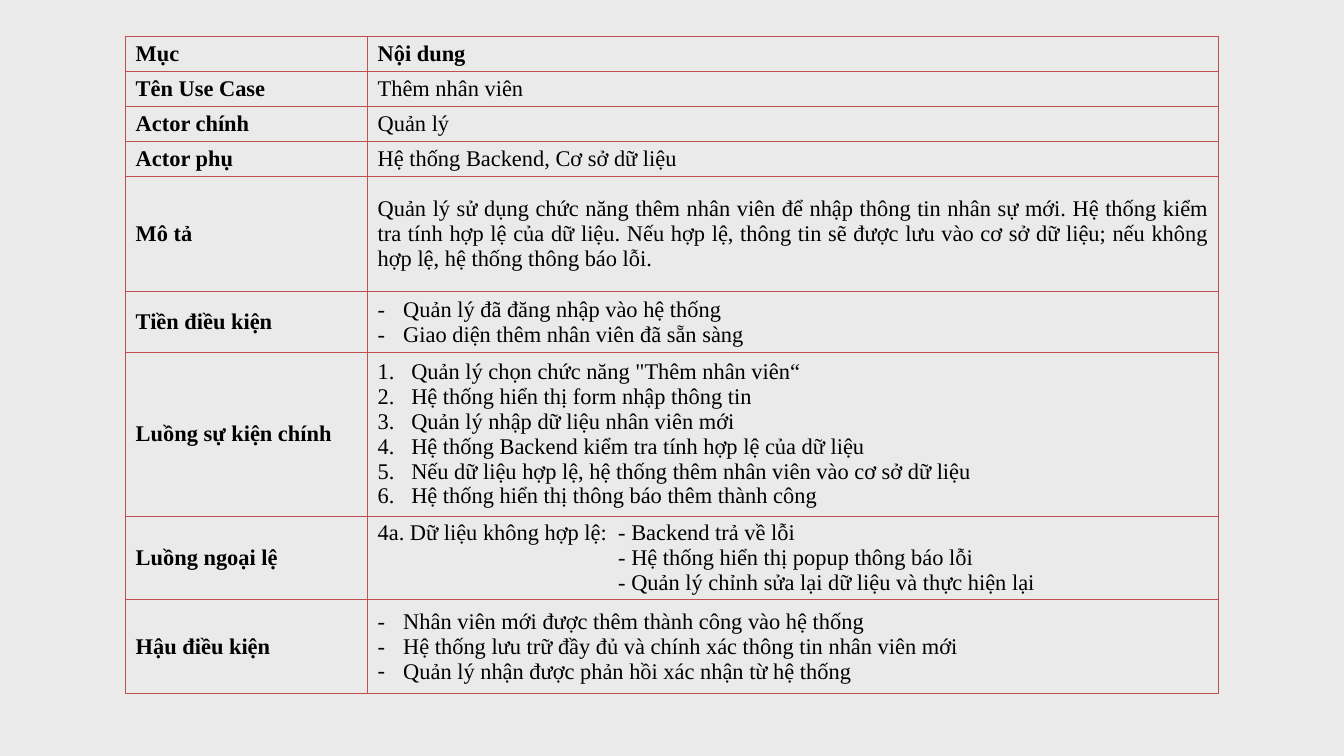
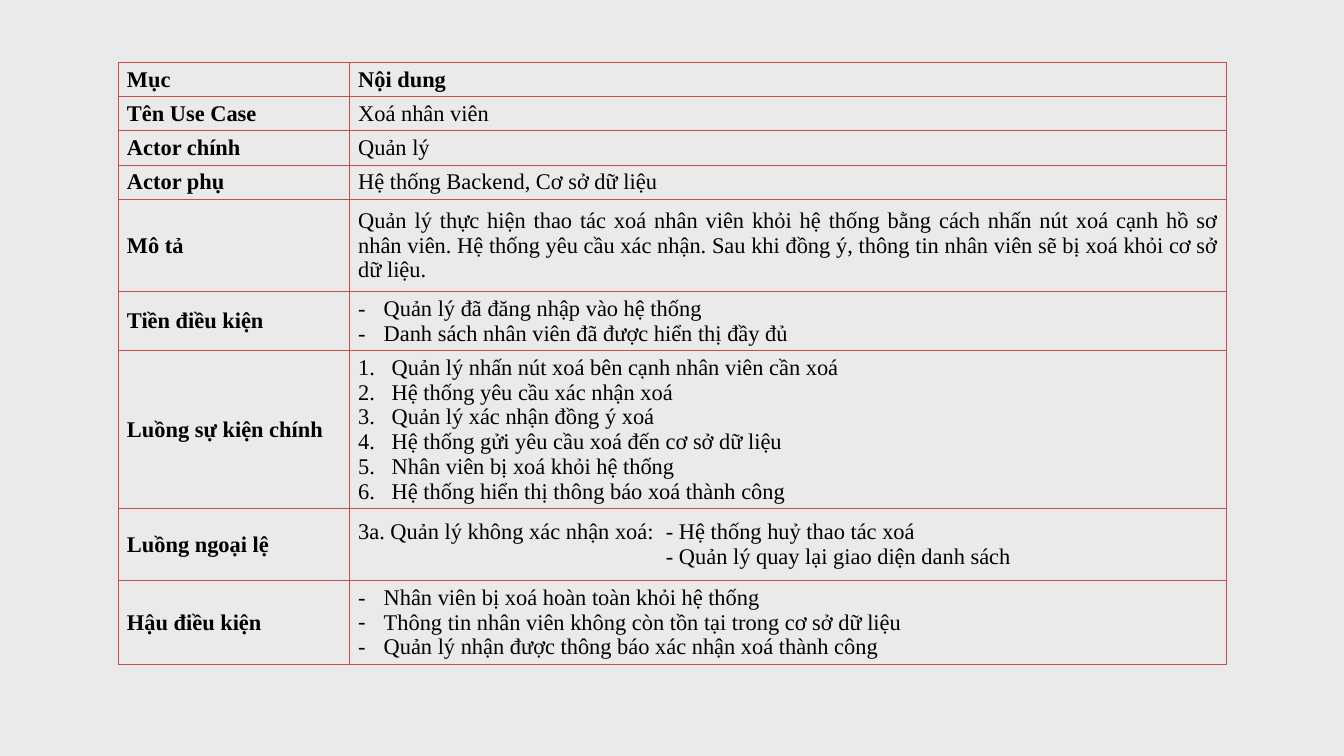
from dataclasses import dataclass
from lxml import etree
from pptx import Presentation
from pptx.dml.color import RGBColor
from pptx.enum import text as t
from pptx.oxml import ns
from pptx.util import Inches, Pt


@dataclass(frozen=True)
class Theme:
    back: str = "EBEAEA"
    ink: str = "000000"
    rule: str = "C0504D"
    font: str = "Times New Roman"
    size: int = 24
    line: int = 1


@dataclass(frozen=True)
class Style:
    """A list style: hanging indent in inches, with a bullet, a number or a tab."""
    hang: float = 0
    mark: str = ""


@dataclass(frozen=True)
class Case:
    left: float
    top: float
    cols: list[float]
    rows: list[float]
    pad: float
    hang: float  # start of the steps in the exception row
    cells: list[list[str]]


THEME = Theme()
PLAIN = Style()
DASH = Style(0.38, "dash")
STEP = Style(0.5, "step")
SIDE = 0.07
LABELS = ["Mục", "Tên Use Case", "Actor chính", "Actor phụ", "Mô tả",
          "Tiền điều kiện", "Luồng sự kiện chính", "Luồng ngoại lệ",
          "Hậu điều kiện"]
STYLES = {"Tiền điều kiện": DASH, "Luồng sự kiện chính": STEP,
          "Hậu điều kiện": DASH}

ADD = Case(
    left=1.87, top=0.54, cols=[3.6, 12.66], pad=0.15, hang=3.58,
    rows=[0.52] * 4 + [1.72, 0.91, 2.43, 1.09, 1.4],
    cells=[
        ["Nội dung"],
        ["Thêm nhân viên"],
        ["Quản lý"],
        ["Hệ thống Backend, Cơ sở dữ liệu"],
        ["Quản lý sử dụng chức năng thêm nhân viên để nhập thông tin nhân sự "
         "mới. Hệ thống kiểm tra tính hợp lệ của dữ liệu. Nếu hợp lệ, thông "
         "tin sẽ được lưu vào cơ sở dữ liệu; nếu không hợp lệ, hệ thống thông "
         "báo lỗi."],
        ["Quản lý đã đăng nhập vào hệ thống",
         "Giao diện thêm nhân viên đã sẵn sàng"],
        ['Quản lý chọn chức năng "Thêm nhân viên“',
         "Hệ thống hiển thị form nhập thông tin",
         "Quản lý nhập dữ liệu nhân viên mới",
         "Hệ thống Backend kiểm tra tính hợp lệ của dữ liệu",
         "Nếu dữ liệu hợp lệ, hệ thống thêm nhân viên vào cơ sở dữ liệu",
         "Hệ thống hiển thị thông báo thêm thành công"],
        ["4a. Dữ liệu không hợp lệ:\t- Backend trả về lỗi",
         "- Hệ thống hiển thị popup thông báo lỗi",
         "- Quản lý chỉnh sửa lại dữ liệu và thực hiện lại"],
        ["Nhân viên mới được thêm thành công vào hệ thống",
         "Hệ thống lưu trữ đầy đủ và chính xác thông tin nhân viên mới",
         "Quản lý nhận được phản hồi xác nhận từ hệ thống"],
    ])

DROP = Case(
    left=1.76, top=0.93, cols=[3.44, 13.05], pad=0.13, hang=4.58,
    rows=[0.45] * 4 + [1.38, 0.76, 2.01, 1.07, 1.09],
    cells=[
        ["Nội dung"],
        ["Xoá nhân viên"],
        ["Quản lý"],
        ["Hệ thống Backend, Cơ sở dữ liệu"],
        ["Quản lý thực hiện thao tác xoá nhân viên khỏi hệ thống bằng cách "
         "nhấn nút xoá cạnh hồ sơ nhân viên. Hệ thống yêu cầu xác nhận. Sau "
         "khi đồng ý, thông tin nhân viên sẽ bị xoá khỏi cơ sở dữ liệu."],
        ["Quản lý đã đăng nhập vào hệ thống",
         "Danh sách nhân viên đã được hiển thị đầy đủ"],
        ["Quản lý nhấn nút xoá bên cạnh nhân viên cần xoá",
         "Hệ thống yêu cầu xác nhận xoá",
         "Quản lý xác nhận đồng ý xoá",
         "Hệ thống gửi yêu cầu xoá đến cơ sở dữ liệu",
         "Nhân viên bị xoá khỏi hệ thống",
         "Hệ thống hiển thị thông báo xoá thành công"],
        ["3a. Quản lý không xác nhận xoá:\t- Hệ thống huỷ thao tác xoá",
         "- Quản lý quay lại giao diện danh sách"],
        ["Nhân viên bị xoá hoàn toàn khỏi hệ thống",
         "Thông tin nhân viên không còn tồn tại trong cơ sở dữ liệu",
         "Quản lý nhận được thông báo xác nhận xoá thành công"],
    ])


def node(root, tag: str, **attrs):
    return etree.SubElement(root, ns.qn(f"a:{tag}"),
                            {key: str(val) for key, val in attrs.items()})


def indent(para, style: Style, first: bool) -> None:
    """Give a paragraph its hanging indent and its mark."""
    props = para._p.get_or_add_pPr()
    hang = Inches(style.hang)
    props.set("marL", str(hang))
    hung = style.mark != "tab" or first
    props.set("indent", str(-hang if hung else 0))
    if style.mark == "tab":
        if first:
            node(node(props, "tabLst"), "tab", pos=hang, algn="l")
        return
    node(node(props, "buClr"), "srgbClr", val=THEME.ink)
    if style.mark == "dash":
        node(props, "buFont", typeface=THEME.font)
        node(props, "buChar", char="-")
    else:
        node(props, "buAutoNum", type="arabicPeriod")


def write(frame, lines: list[str], *, bold: bool = False,
          style: Style = PLAIN) -> None:
    for i, line in enumerate(lines):
        para = frame.add_paragraph() if i else frame.paragraphs[0]
        para.alignment = t.PP_ALIGN.JUSTIFY
        if style.mark:
            indent(para, style, i == 0)
        run = para.add_run()
        run.text = line
        font = run.font
        font.name, font.size, font.bold = THEME.font, Pt(THEME.size), bold
        font.color.rgb = RGBColor.from_string(THEME.ink)


def dress(cell, pad: float) -> None:
    """Set the margins, clear the fill and rule all four sides."""
    cell.vertical_anchor = t.MSO_ANCHOR.MIDDLE
    cell.margin_left = cell.margin_right = Inches(pad)
    cell.margin_top = cell.margin_bottom = Inches(SIDE)
    props = cell._tc.get_or_add_tcPr()
    for side in "LRTB":
        line = node(props, f"ln{side}", w=Pt(THEME.line))
        node(node(line, "solidFill"), "srgbClr", val=THEME.rule)
    cell.fill.background()


def draw(deck, case: Case) -> None:
    slide = deck.slides.add_slide(deck.slide_layouts[6])
    grid = slide.shapes.add_table(
        len(case.rows), len(case.cols), Inches(case.left), Inches(case.top),
        Inches(sum(case.cols)), Inches(sum(case.rows))).table
    grid.first_row = grid.horz_banding = False
    for col, width in zip(grid.columns, case.cols):
        col.width = Inches(width)
    styles = STYLES | {"Luồng ngoại lệ": Style(case.hang, "tab")}
    for i, (label, lines) in enumerate(zip(LABELS, case.cells)):
        grid.rows[i].height = Inches(case.rows[i])
        name, body = grid.cell(i, 0), grid.cell(i, 1)
        for cell in (name, body):
            dress(cell, case.pad)
        write(name.text_frame, [label], bold=True)
        write(body.text_frame, lines, bold=i == 0,
              style=styles.get(label, PLAIN))


def main() -> None:
    deck = Presentation()
    deck.slide_width, deck.slide_height = Inches(20), Inches(11.25)
    fill = deck.slide_master.background.fill
    fill.solid()
    fill.fore_color.rgb = RGBColor.from_string(THEME.back)
    for case in (ADD, DROP):
        draw(deck, case)
    deck.save("out.pptx")


if __name__ == "__main__":
    main()
